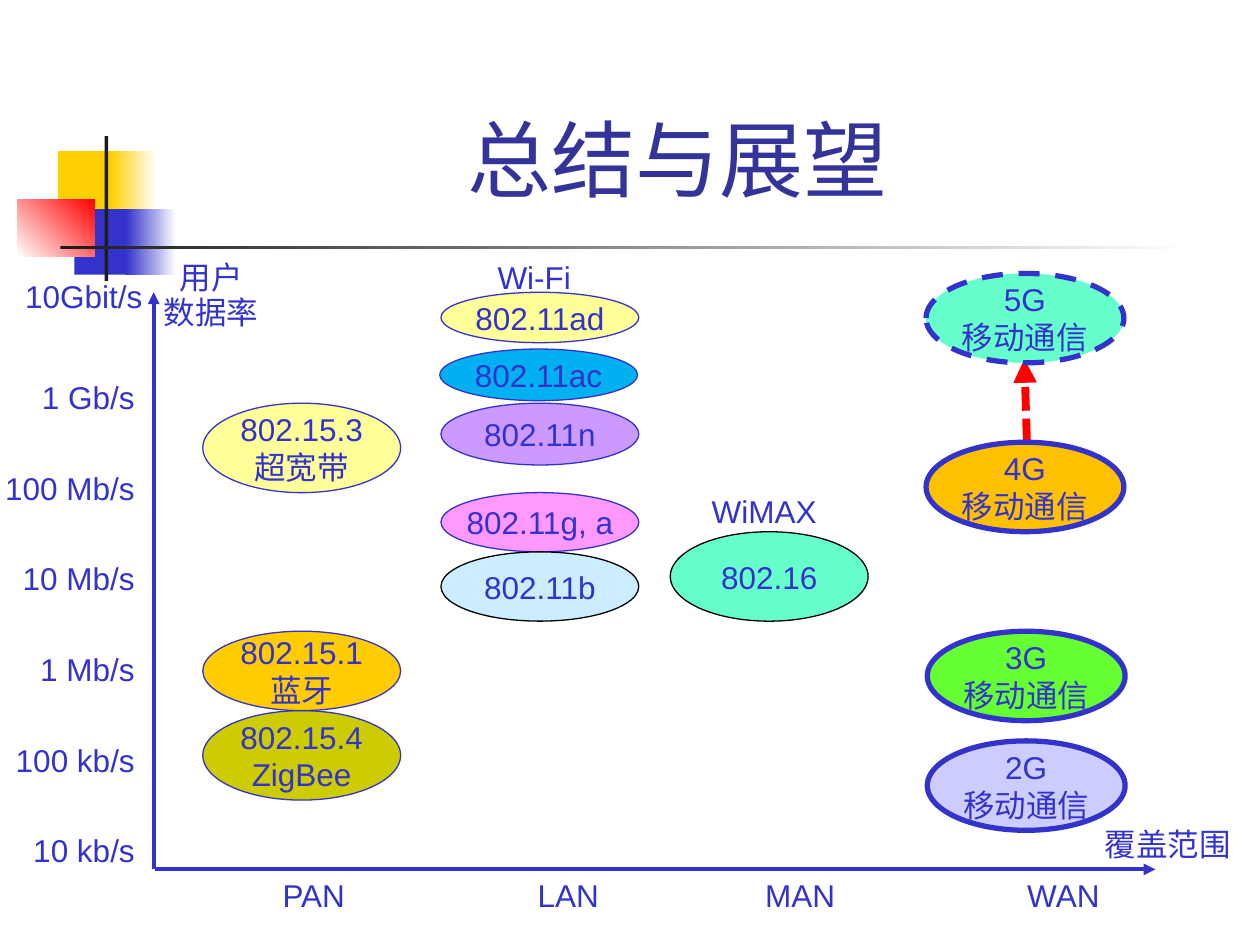
from dataclasses import dataclass

from lxml import etree
from pptx import Presentation
from pptx.dml.color import RGBColor
from pptx.enum.dml import MSO_LINE
from pptx.enum.shapes import MSO_CONNECTOR, MSO_SHAPE
from pptx.enum.text import MSO_ANCHOR, MSO_AUTO_SIZE, PP_ALIGN
from pptx.oxml.ns import qn
from pptx.util import Inches, Pt

RECTANGLE, ELLIPSE = MSO_SHAPE.RECTANGLE, MSO_SHAPE.OVAL
STRAIGHT = MSO_CONNECTOR.STRAIGHT
CENTER, RIGHT = PP_ALIGN.CENTER, PP_ALIGN.RIGHT
TOP, MIDDLE, BOTTOM = MSO_ANCHOR.TOP, MSO_ANCHOR.MIDDLE, MSO_ANCHOR.BOTTOM
DASH, DOTS = MSO_LINE.DASH, MSO_LINE.SQUARE_DOT
NO_FIT = MSO_AUTO_SIZE.NONE


@dataclass(frozen=True)
class Theme:
    font: str = "Arial"
    title_size: int = 48
    body_size: int = 18
    title: str = "333399"
    blue: str = "3333CC"
    white: str = "FFFFFF"
    black: str = "000000"
    ink: str = "1C1C1C"
    gold: str = "FFCF01"
    red: str = "FF0000"
    yellow: str = "FFFF99"
    sky: str = "00B0F0"
    violet: str = "CC99FF"
    pink: str = "FF99FF"
    ice: str = "CCECFF"
    mint: str = "66FFCC"
    amber: str = "FFCC00"
    olive: str = "CCCC00"
    orange: str = "FFC000"
    green: str = "66FF33"
    lilac: str = "CCCCFF"


theme = Theme()
presentation = Presentation()
presentation.slide_width, presentation.slide_height = Inches(10), Inches(7.5)
COLUMN = presentation.slide_width / 100
ROW = presentation.slide_height / 75
slide = presentation.slides.add_slide(presentation.slide_layouts[5])


def grid(left, top, width, height):
    return int(left * COLUMN), int(top * ROW), int(width * COLUMN), int(height * ROW)


def write(shape, lines, frame_format, alignment=CENTER, spacings=(1, 1),
          size=theme.body_size, color=theme.blue):
    frame = shape.text_frame
    frame.text = "\n".join(lines)
    for name, value in frame_format.items():
        setattr(frame, name, value)
    for paragraph, spacing in zip(frame.paragraphs, spacings):
        paragraph.alignment = alignment
        paragraph.line_spacing = spacing
        for name, value in {"name": theme.font, "size": Pt(size)}.items():
            setattr(paragraph.font, name, value)
        paragraph.font.color.rgb = RGBColor.from_string(color)


ornaments = [
    (4.6, 12, 4.8, 5.2, [theme.gold], 0),
    (8.8, 12, 3.6, 5.2, [theme.gold, theme.white], 0),
    (5.9, 16.6, 4.6, 5.2, [theme.blue], 0),
    (10, 16.6, 4, 5.2, [theme.blue, theme.white], 0),
    (1.4, 15.8, 6.1, 4.6, [theme.white, theme.red], 45),
    (8.3, 10.8, 0.3, 11.5, [theme.ink], 0),
    (4.8, 19.5, 90, 0.3, [theme.ink, theme.white], 0),
]
for left, top, width, height, colors, angle in ornaments:
    shape = slide.shapes.add_shape(RECTANGLE, *grid(left, top, width, height))
    shape.shadow.inherit = False
    shape.line.fill.background()
    if len(colors) == 1:
        shape.fill.solid()
        shape.fill.fore_color.rgb = RGBColor.from_string(colors[0])
    else:
        shape.fill.gradient()
        shape.fill.gradient_angle = angle
        for stop, color, position in zip(shape.fill.gradient_stops, colors, (0, 1)):
            stop.color.rgb = RGBColor.from_string(color)
            stop.position = position

title = slide.shapes.title
title.left, title.top, title.width, title.height = grid(12.6, 2.3, 82.3, 14.7)
write(title, ["总结与展望"],
      {"vertical_anchor": BOTTOM, "word_wrap": True, "auto_size": NO_FIT},
      size=theme.title_size, color=theme.title)

LABEL_HEIGHT = 4.6
label_format = {"word_wrap": True, "vertical_anchor": TOP, "auto_size": NO_FIT,
                "margin_left": 0, "margin_right": 0}
labels = [
    (86.7, 64.4, 12, ["覆盖范围"], CENTER),
    (12, 19.4, 9.5, ["用户", "数据率"], CENTER),
    (38.5, 19.4, 7.8, ["Wi-Fi"], CENTER),
    (55.5, 38, 10.3, ["WiMAX"], CENTER),
    (0.8, 20.9, 10.5, ["10Gbit/s"], RIGHT),
]
rates = ["1 Gb/s", "100 Mb/s", "10 Mb/s", "1 Mb/s", "100 kb/s", "10 kb/s"]
labels += [(0, 28.9 + 7.2 * step, 10.7, [rate], RIGHT)
           for step, rate in enumerate(rates)]
ranges = {"PAN": 24.9, "LAN": 45.1, "MAN": 63.5, "WAN": 84.4}
labels += [(center - 5, 68.4, 10, [name], CENTER) for name, center in ranges.items()]
for left, top, width, lines, alignment in labels:
    height = LABEL_HEIGHT + 2.9 * (len(lines) - 1)
    label = slide.shapes.add_textbox(*grid(left, top, width, height))
    write(label, lines, label_format, alignment, spacings=(1.2, 0.95))

arrows = [
    (12.3, 69, 91.7, 69, theme.blue, 2.25, None),
    (12.2, 69, 12.2, 23.2, theme.blue, 2.25, None),
    (81.5, 35.1, 81.3, 28.5, theme.red, 4.5, DOTS),
]
for *ends, color, weight, dash in arrows:
    arrow = slide.shapes.add_connector(STRAIGHT, *grid(*ends))
    arrow.line.color.rgb = RGBColor.from_string(color)
    arrow.line.width = Pt(weight)
    if dash:
        arrow.line.dash_style = dash
    etree.SubElement(arrow.line._get_or_add_ln(), qn("a:tailEnd"), type="triangle")
    etree.SubElement(arrow._element.spPr, qn("a:effectLst"))

PAN, LAN, MAN, WAN = 16.1, 35, 53.2, 73.6
ELLIPSE_WIDTH, TALL = 15.7, 7.1
THIN, THICK = 0.75, 3
MOBILE = "移动通信"
ellipse_format = {"word_wrap": False, "vertical_anchor": MIDDLE}
technologies = [
    (PAN, 56.4, TALL, ["802.15.4", "ZigBee"], theme.olive, theme.blue, THIN),
    (PAN, 50.1, 6.3, ["802.15.1", "蓝牙"], theme.amber, theme.blue, THIN),
    (PAN, 32, TALL, ["802.15.3", "超宽带"], theme.yellow, theme.blue, THIN),
    (LAN, 23.2, 4, ["802.11ad"], theme.yellow, theme.blue, THIN),
    (LAN - 0.1, 27.7, 4.1, ["802.11ac"], theme.sky, theme.blue, THIN),
    (LAN, 32, 4.9, ["802.11n"], theme.violet, theme.blue, THIN),
    (LAN, 39.1, 4.7, ["802.11g, a"], theme.pink, theme.blue, THIN),
    (LAN, 43.8, 5.5, ["802.11b"], theme.ice, theme.black, THIN),
    (MAN, 42.2, TALL, ["802.16"], theme.mint, theme.black, THIN),
    (WAN, 58.8, TALL, ["2G", MOBILE], theme.lilac, theme.blue, THICK),
    (WAN, 50.1, TALL, ["3G", MOBILE], theme.green, theme.blue, THICK),
    (WAN - 0.1, 35.1, TALL, ["4G", MOBILE], theme.orange, theme.blue, THICK),
    (WAN - 0.1, 21.7, TALL, ["5G", MOBILE], theme.mint, theme.blue, THICK),
]
for left, top, height, lines, fill, outline, weight in technologies:
    shape = slide.shapes.add_shape(ELLIPSE, *grid(left, top, ELLIPSE_WIDTH, height))
    shape.shadow.inherit = False
    shape.fill.solid()
    shape.fill.fore_color.rgb = RGBColor.from_string(fill)
    shape.line.color.rgb = RGBColor.from_string(outline)
    shape.line.width = Pt(weight)
    if lines[0] == "5G":
        shape.line.dash_style = DASH
    write(shape, lines, ellipse_format)

presentation.save("out.pptx")
